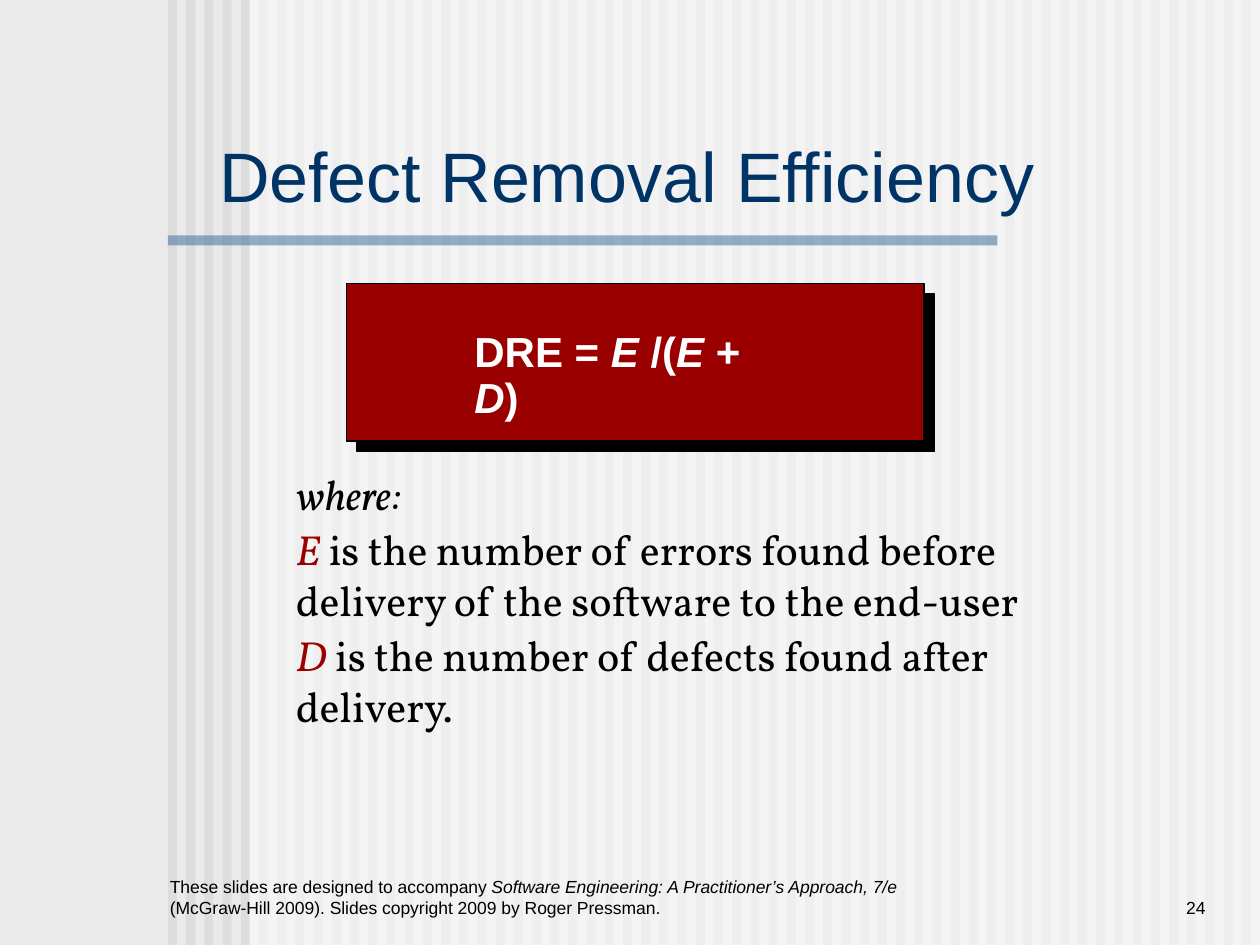
import pptx
import pptx.util
import pptx.dml.color
import pptx.enum.shapes
import pptx.enum.text
import lxml.etree
from dataclasses import dataclass

Pt = pptx.util.Pt
RGB = pptx.dml.color.RGBColor.from_string
Align = pptx.enum.text.PP_ALIGN
Anchor = pptx.enum.text.MSO_ANCHOR


@dataclass
class Theme:
    back: str = "EAEAEA"
    stripe: str = "DDDDDD"
    white: str = "FFFFFF"
    rule: str = "336699"
    title: str = "003366"
    red: str = "9A0000"
    black: str = "000000"
    sans: str = "Arial"
    serif: str = "Vollkorn"
    head: int = 40
    body: int = 24
    foot: int = 10


theme = Theme()
deck = pptx.Presentation()
deck.slide_width, deck.slide_height = Pt(720), Pt(540)
slide = deck.slides.add_slide(deck.slide_layouts[5])
slide.background.fill.solid()
slide.background.fill.fore_color.rgb = RGB(theme.back)


def block(x, y, w, h, color, alpha=None, line=None):
    """Draw a flat rectangle; alpha is its opacity in percent."""
    rect = slide.shapes.add_shape(
        pptx.enum.shapes.MSO_SHAPE.RECTANGLE, Pt(x), Pt(y), Pt(w), Pt(h))
    rect.shadow.inherit = False
    rect.fill.solid()
    rect.fill.fore_color.rgb = RGB(color)
    if alpha:
        tint = rect.fill._xPr.find(".//" + pptx.oxml.ns.qn("a:srgbClr"))
        lxml.etree.SubElement(
            tint, pptx.oxml.ns.qn("a:alpha"), val=str(alpha * 1000))
    if line:
        rect.line.color.rgb = RGB(line)
        rect.line.width = Pt(0.75)
    else:
        rect.line.fill.background()


def text(x, y, w, h, paras, face, size, color, wrap=True):
    """Add a text box; each paragraph is a list of (words, italic, color)."""
    box = slide.shapes.add_textbox(Pt(x), Pt(y), Pt(w), Pt(h))
    frame = box.text_frame
    frame.word_wrap = wrap
    for i, parts in enumerate(paras):
        para = frame.paragraphs[0] if i == 0 else frame.add_paragraph()
        para.font.name, para.font.size = face, Pt(size)
        para.font.color.rgb = RGB(color)
        if i:
            para.space_before = Pt(3)
        for words, slant, tone in parts:
            run = para.add_run()
            run.text = words
            if slant:
                run.font.italic = True
            if tone:
                run.font.color.rgb = RGB(tone)
    return frame


# Striped backdrop, pale panel and title rule
for i in range(60):
    block(96 + 10.4 * i, 0, 5.2, 540, theme.stripe)
block(142.5, 0, 577.5, 540, theme.white, alpha=50)
block(96, 134.5, 474, 5.75, theme.rule, alpha=50)

# Title, brought in front of the backdrop
title = slide.shapes.title
title.element.getparent().append(title.element)
title.left, title.top, title.width, title.height = Pt(118), Pt(78), Pt(484.5), Pt(49.5)
title.text_frame.text = "Defect Removal Efficiency"
title.text_frame.vertical_anchor = Anchor.BOTTOM
title.text_frame.word_wrap = True
head = title.text_frame.paragraphs[0]
head.alignment = Align.LEFT
head.font.name, head.font.size = theme.sans, Pt(theme.head)
head.font.color.rgb = RGB(theme.title)

# Formula card over its offset shadow
block(204, 168, 330, 90, theme.black, line=theme.black)
block(198, 162, 330, 90, theme.red, line=theme.black)
parts = [("DRE = ", False, None), ("E", True, None), (" /(", False, None),
         ("E", True, None), (" + ", False, None), ("D", True, None),
         (")", False, None)]
card = text(264, 186, 198, 33, [parts], theme.sans, theme.body, theme.white, wrap=False)
card.paragraphs[0].font.bold = True
card.paragraphs[0].line_spacing = 0.9

# Meaning of the terms
terms = [
    [("where:", True, None)],
    [("E", True, theme.red),
     (" is the number of errors found before delivery of the software to the end-user",
      False, None)],
    [("D", True, theme.red),
     (" is the number of defects found after delivery.", False, None)],
]
text(162, 264, 469.5, 183.5, terms, theme.serif, theme.body, theme.black)

# Footer and slide number
credit = [("These slides are designed to accompany ", False, None),
          ("Software Engineering: A Practitioner’s Approach, 7/e ", True, None),
          ("(McGraw-Hill 2009). Slides copyright 2009 by Roger Pressman.", False, None)]
foot = text(90, 492, 432, 36, [credit], theme.sans, theme.foot, theme.black)
page = text(594, 492, 102, 36, [[("24", False, None)]], theme.sans, theme.foot, theme.black)
foot.vertical_anchor = page.vertical_anchor = Anchor.BOTTOM
page.paragraphs[0].alignment = Align.RIGHT

deck.save("out.pptx")
